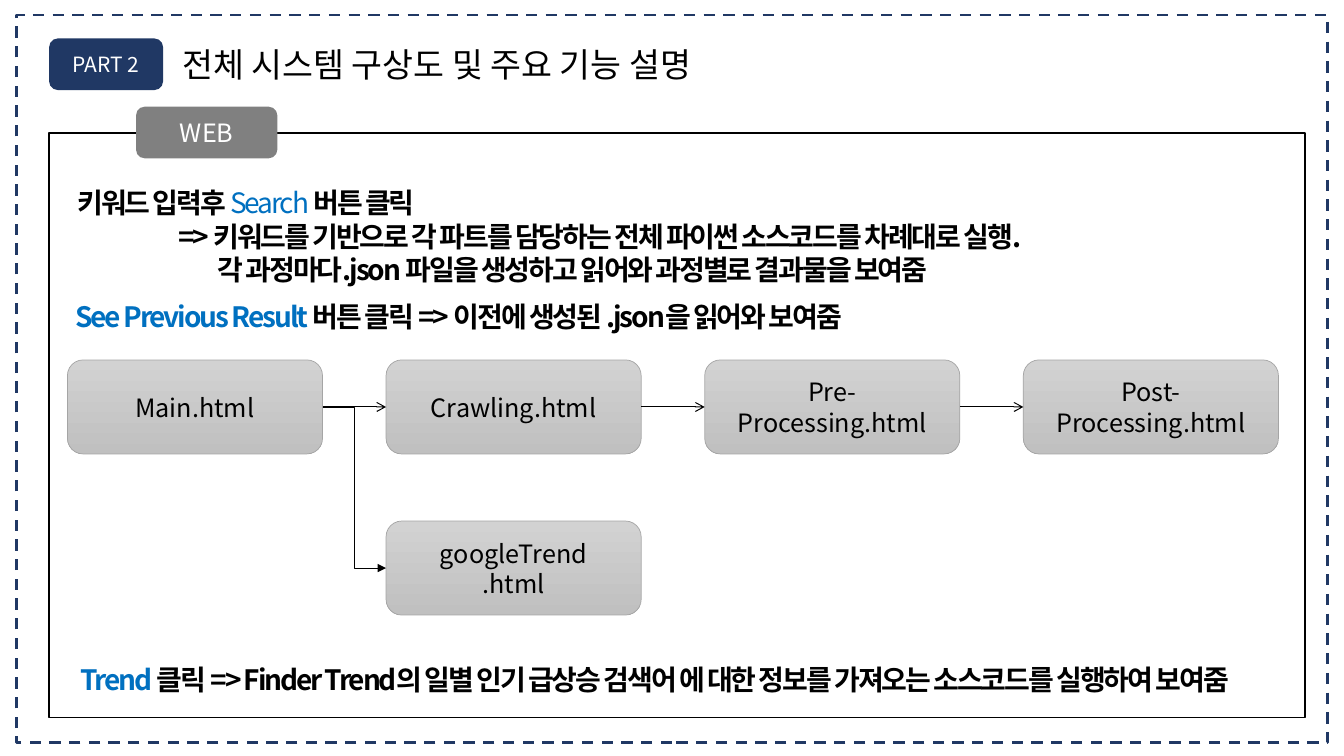
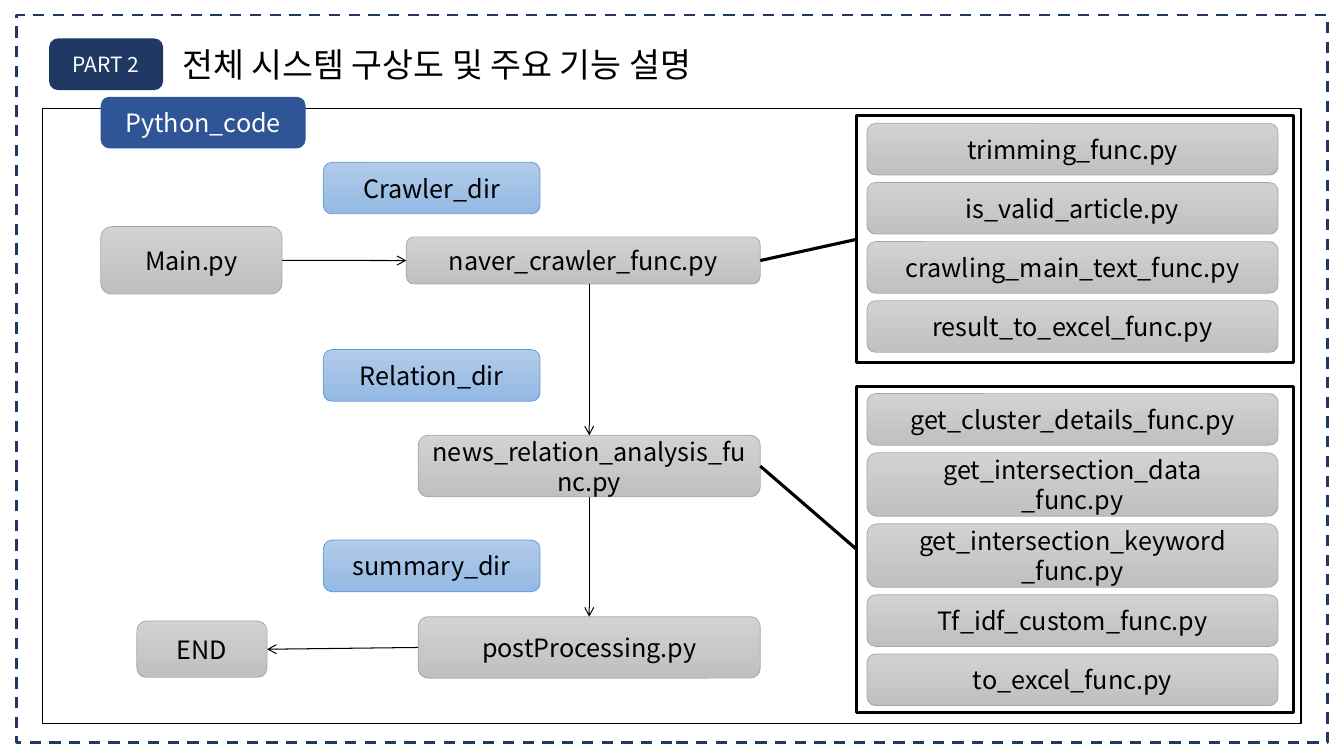
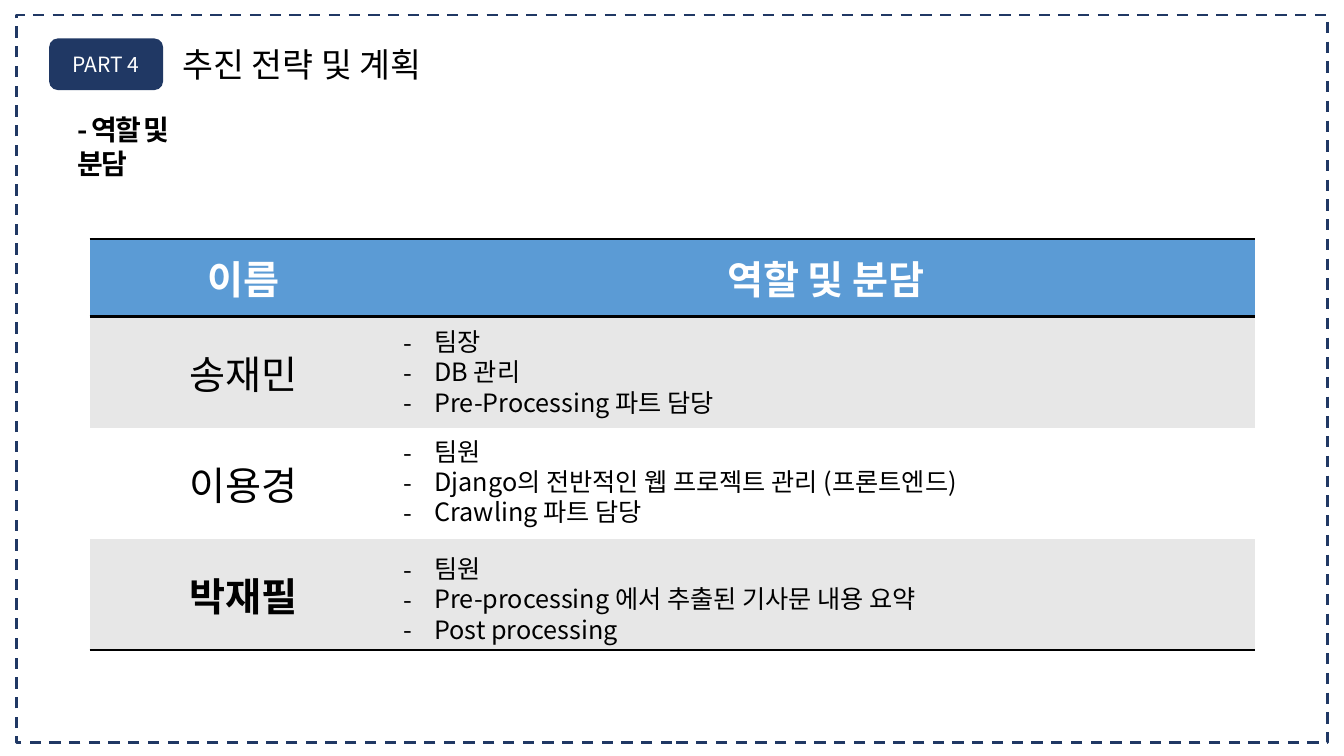
from lxml.etree import SubElement
from pptx import Presentation
from pptx.dml.color import RGBColor
from pptx.enum.dml import MSO_LINE
from pptx.enum.shapes import MSO_CONNECTOR, MSO_SHAPE
from pptx.enum.text import MSO_ANCHOR, MSO_AUTO_SIZE, PP_ALIGN
from pptx.oxml import parse_xml
from pptx.oxml.ns import nsdecls, qn
from pptx.util import Cm, Pt

FONT = "Noto Sans CJK KR"
BLACK = RGBColor(0x00, 0x00, 0x00)
WHITE = RGBColor(0xFF, 0xFF, 0xFF)
NAVY = RGBColor(0x20, 0x38, 0x64)
BLUE = RGBColor(0x2F, 0x55, 0x97)
ACCENT = RGBColor(0x00, 0x70, 0xC0)
GRAY = RGBColor(0x80, 0x80, 0x80)
HEADER_BLUE = RGBColor(0x5B, 0x9B, 0xD5)
BAND_GRAY = RGBColor(0xE7, 0xE7, 0xE7)
FILE_STYLE = (RGBColor(0xD2, 0xD2, 0xD2), RGBColor(0xC0, 0xC0, 0xC0), RGBColor(0xA5, 0xA5, 0xA5))
DIR_STYLE = (RGBColor(0xB1, 0xCB, 0xE9), RGBColor(0x93, 0xB9, 0xE4), HEADER_BLUE)
NO_TABLE_STYLE = "{2D5ABB26-0587-4C30-8999-92F81FD0307C}"
TOP, LEFT, BOTTOM, RIGHT = range(4)

SYSTEM_TITLE = "전체 시스템 구상도 및 주요 기능 설명"
PLAN_TITLE = "추진 전략 및 계획"

WEB_NOTES = [
    ((1.70, 4.55, 30.23, 2.82), [
        (0, [("키워드 입력후 ", BLACK, True), ("Search ", ACCENT, False), ("버튼 클릭", BLACK, True)]),
        (2.54, [("=> 키워드를 기반으로 각 파트를 담당하는 전체 파이썬 소스코드를 차례대로 실행.", BLACK, True)]),
        (3.54, [("각 과정마다.json 파일을 생성하고 읽어와 과정별로 결과물을 보여줌", BLACK, True)]),
    ]),
    ((1.65, 7.42, 28.09, 1.12), [
        (0, [("See Previous Result ", ACCENT, True),
             ("버튼 클릭 => 이전에 생성된 .json을 읽어와 보여줌", BLACK, True)]),
    ]),
    ((1.78, 16.56, 31.10, 1.12), [
        (0, [("Trend ", ACCENT, True),
             ("클릭 => Finder Trend의 일별 인기 급상승 검색어 에 대한 정보를 가져오는 소스코드를 실행하여 보여줌",
              BLACK, True)]),
    ]),
]
PAGES = ["Main.html", "Crawling.html", "Pre-Processing.html", "Post-Processing.html"]
TREND_PAGE = "googleTrend\n.html"
PAGE_LEFT, PAGE_PITCH, PAGE_WIDTH, PAGE_HEIGHT = 1.70, 8.03, 6.43, 2.37
PAGE_TOP, TREND_TOP = 9.07, 13.13

STEPS = {
    "main": ("Main.py", (2.54, 5.71, 4.57, 1.70)),
    "crawler": ("naver_crawler_func.py", (10.24, 5.97, 8.92, 1.19)),
    "relation": ("news_relation_analysis_func.py", (10.54, 10.97, 8.62, 1.55)),
    "post": ("postProcessing.py", (10.54, 15.54, 8.62, 1.55)),
    "end": ("END", (3.45, 15.65, 3.28, 1.42)),
}
DIRECTORIES = [("Crawler_dir", 4.09), ("Relation_dir", 8.81), ("summary_dir", 13.61)]
HELPERS = [
    ("crawler", 2.92, 6.22, [
        "trimming_func.py", "is_valid_article.py",
        "crawling_main_text_func.py", "result_to_excel_func.py"]),
    ("relation", 9.73, 8.23, [
        "get_cluster_details_func.py", "get_intersection_data\n_func.py",
        "get_intersection_keyword\n_func.py", "Tf_idf_custom_func.py", "to_excel_func.py"]),
]
HELPER_LEFT, HELPER_WIDTH, HELPER_GAP, HELPER_INSET = 21.59, 11.02, 0.19, 0.26

ROLE_HEADING = "- 역할 및 분담"
ROLE_HEADER = ["이름", "역할 및 분담"]
ROLES = [
    ("송재민", 8.10, ["팀장", "DB 관리", "Pre-Processing 파트 담당"]),
    ("이용경", 10.87, ["팀원", "Django의 전반적인 웹 프로젝트 관리 (프론트엔드)", "Crawling 파트 담당"]),
    ("박재필", 13.82, ["팀원", "Pre-processing 에서 추출된 기사문 내용 요약", "Post processing"]),
]


def cms(area):
    return [Cm(length) for length in area]


def add_run(paragraph, text, size, color=BLACK, bold=False, spacing=None):
    run = paragraph.add_run()
    run.text = text
    run.font.size = Pt(size)
    run.font.bold = bold
    run.font.color.rgb = color
    run.font.name = FONT
    if spacing:
        run._r.get_or_add_rPr().set("spc", str(int(spacing * 100)))


def add_lines(frame, lines, size, color=BLACK, bold=False, align=PP_ALIGN.CENTER):
    for number, line in enumerate(lines):
        paragraph = frame.add_paragraph() if number else frame.paragraphs[0]
        paragraph.alignment = align
        add_run(paragraph, line, size, color, bold)


def add_box(slide, area, text, fill, size=18, color=WHITE):
    box = slide.shapes.add_shape(MSO_SHAPE.ROUNDED_RECTANGLE, *cms(area))
    box.shadow.inherit = False
    if isinstance(fill, RGBColor):
        box.fill.solid()
        box.fill.fore_color.rgb = fill
        box.line.fill.background()
    else:
        box.fill.gradient()
        box.fill.gradient_angle = 270
        for stop, shade in zip(box.fill.gradient_stops, fill):
            stop.color.rgb = shade
        box.line.color.rgb = fill[2]
        box.line.width = Pt(0.5)
        color = BLACK
    add_lines(box.text_frame, text.split("\n"), size, color)
    return box


def add_outline(slide, area, color=BLACK, width=1, dash=None):
    outline = slide.shapes.add_shape(MSO_SHAPE.RECTANGLE, *cms(area))
    outline.shadow.inherit = False
    outline.fill.background()
    outline.line.color.rgb = color
    outline.line.width = Pt(width)
    outline.line.dash_style = dash
    return outline


def connect(slide, start, start_side, end, end_side, head="arrow", width=0.75, kind=MSO_CONNECTOR.STRAIGHT):
    link = slide.shapes.add_connector(kind, 0, 0, 0, 0)
    link.begin_connect(start, start_side)
    link.end_connect(end, end_side)
    finish_line(link, head, width)


def finish_line(link, head, width):
    link.line.color.rgb = BLACK
    link.line.width = Pt(width)
    properties = link._element.spPr
    if head:
        SubElement(properties.find(qn("a:ln")), qn("a:tailEnd"), type=head)
    SubElement(properties, qn("a:effectLst"))


def add_note(slide, area, paragraphs):
    frame = slide.shapes.add_textbox(*cms(area)).text_frame
    frame.word_wrap = True
    for number, (indent, runs) in enumerate(paragraphs):
        paragraph = frame.add_paragraph() if number else frame.paragraphs[0]
        if indent:
            paragraph._p.get_or_add_pPr().set("marL", str(Cm(indent)))
        for text, color, bold in runs:
            add_run(paragraph, text, 20, color, bold, spacing=-1.5)


def start_slide(deck, part, title):
    slide = deck.slides.add_slide(deck.slide_layouts[5])
    add_outline(slide, (0.41, 0.38, 33.05, 18.34), NAVY, 2, MSO_LINE.DASH)
    add_box(slide, (1.24, 0.97, 2.87, 1.30), part, NAVY, size=15)
    heading = slide.shapes.title
    heading.left, heading.top, heading.width, heading.height = cms((4.34, 0.97, 22, 1.27))
    heading.text_frame.auto_size = MSO_AUTO_SIZE.NONE
    heading.text_frame.vertical_anchor = MSO_ANCHOR.MIDDLE
    add_lines(heading.text_frame, [title], 24, align=PP_ALIGN.LEFT)
    return slide


def build_web(deck):
    slide = start_slide(deck, "PART 2", SYSTEM_TITLE)
    add_outline(slide, (1.24, 3.35, 31.65, 14.73))
    add_box(slide, (3.43, 2.69, 3.56, 1.30), "WEB", GRAY)
    for area, paragraphs in WEB_NOTES:
        add_note(slide, area, paragraphs)
    pages = [
        add_box(slide, (PAGE_LEFT + PAGE_PITCH * column, PAGE_TOP, PAGE_WIDTH, PAGE_HEIGHT), page, FILE_STYLE)
        for column, page in enumerate(PAGES)
    ]
    for page, following in zip(pages, pages[1:]):
        connect(slide, page, RIGHT, following, LEFT)
    trend = add_box(slide, (PAGE_LEFT + PAGE_PITCH, TREND_TOP, PAGE_WIDTH, PAGE_HEIGHT), TREND_PAGE, FILE_STYLE)
    connect(slide, pages[0], RIGHT, trend, LEFT, "triangle", 0.5, MSO_CONNECTOR.ELBOW)


def build_code(deck):
    slide = start_slide(deck, "PART 2", SYSTEM_TITLE)
    add_outline(slide, (1.07, 2.74, 31.72, 15.49))
    add_box(slide, (2.54, 2.44, 5.16, 1.30), "Python_code", BLUE)
    for directory, top in DIRECTORIES:
        add_box(slide, (8.15, top, 5.46, 1.30), directory, DIR_STYLE)
    steps = {key: add_box(slide, area, text, FILE_STYLE) for key, (text, area) in STEPS.items()}
    crawler, relation, post = steps["crawler"], steps["relation"], steps["post"]
    connect(slide, steps["main"], RIGHT, crawler, LEFT)
    connect(slide, relation, BOTTOM, post, TOP)
    connect(slide, post, LEFT, steps["end"], RIGHT)
    middle = relation.left + relation.width // 2
    descent = slide.shapes.add_connector(
        MSO_CONNECTOR.STRAIGHT, middle, crawler.top + crawler.height, middle, relation.top)
    finish_line(descent, "arrow", 0.75)
    for caller, top, height, files in HELPERS:
        group = add_outline(slide, (HELPER_LEFT, top, HELPER_WIDTH, height), width=2.25)
        connect(slide, steps[caller], RIGHT, group, LEFT, None, 2.25)
        file_top = top + HELPER_GAP
        for name in files:
            file_height = 1.60 if "\n" in name else 1.30
            add_box(slide, (HELPER_LEFT + HELPER_INSET, file_top, 10.36, file_height), name, FILE_STYLE)
            file_top += file_height + HELPER_GAP


def style_cell(cell, fill, edges):
    cell.vertical_anchor = MSO_ANCHOR.MIDDLE
    cell.fill.solid()
    cell.fill.fore_color.rgb = fill
    properties = cell._tc.get_or_add_tcPr()
    for position, edge in enumerate(edges):
        properties.insert(position, parse_xml(
            f'<a:{edge} {nsdecls("a")} w="{Pt(2)}"><a:solidFill>'
            f'<a:srgbClr val="{BLACK}"/></a:solidFill></a:{edge}>'))


def add_duties(slide, top, duties):
    frame = slide.shapes.add_textbox(*cms((9.91, top, 22.02, 2.57))).text_frame
    frame.word_wrap = True
    add_lines(frame, duties, 18, align=PP_ALIGN.LEFT)
    for paragraph in frame.paragraphs:
        properties = paragraph._p.get_or_add_pPr()
        properties.set("marL", str(Cm(0.79)))
        properties.set("indent", str(-Cm(0.79)))
        SubElement(properties, qn("a:buFont"), typeface=FONT)
        SubElement(properties, qn("a:buChar"), char="-")


def build_roles(deck):
    slide = start_slide(deck, "PART 4", PLAN_TITLE)
    add_note(slide, (1.70, 2.72, 4, 1.96), [(0, [(ROLE_HEADING, BLACK, True)])])
    holder = slide.shapes.add_table(len(ROLES) + 1, 2, *cms((2.26, 6.02, 29.36, 10.36)))
    table = holder.table
    table._tbl.tblPr.find(qn("a:tableStyleId")).text = NO_TABLE_STYLE
    for column, width in zip(table.columns, (7.75, 21.61)):
        column.width = Cm(width)
    for row, height in zip(table.rows, (1.96, 2.80, 2.80, 2.80)):
        row.height = Cm(height)
    for column, text in enumerate(ROLE_HEADER):
        cell = table.cell(0, column)
        style_cell(cell, HEADER_BLUE, ("lnT", "lnB"))
        add_lines(cell.text_frame, [text], 28, WHITE, True)
    for number, (name, top, duties) in enumerate(ROLES, 1):
        last = number == len(ROLES)
        for column in range(2):
            style_cell(table.cell(number, column), BAND_GRAY if number % 2 else WHITE, ("lnB",) if last else ())
        add_lines(table.cell(number, 0).text_frame, [name], 28, bold=last)
        add_duties(slide, top, duties)


def main():
    deck = Presentation()
    deck.slide_width, deck.slide_height = Cm(33.87), Cm(19.05)
    build_web(deck)
    build_code(deck)
    build_roles(deck)
    deck.save("out.pptx")


if __name__ == "__main__":
    main()
